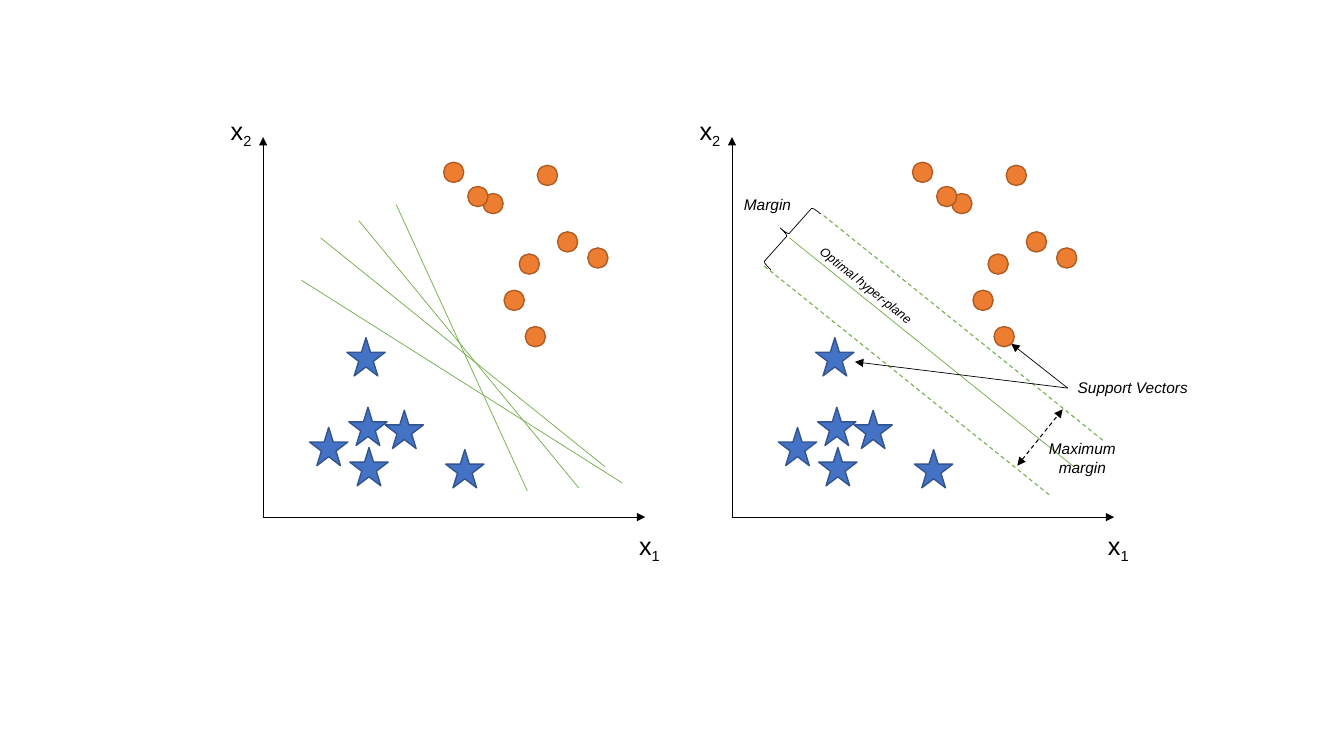
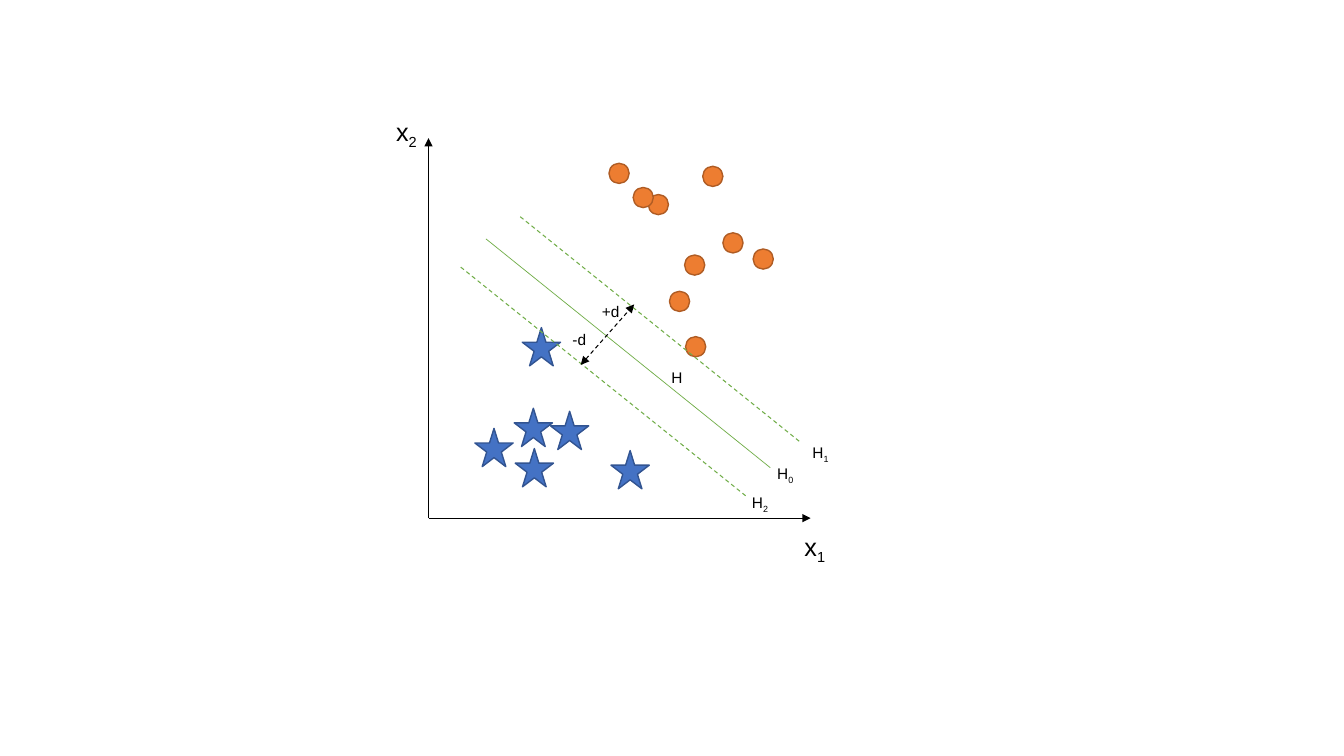
from pptx import Presentation
from pptx.dml.color import RGBColor
from pptx.enum.dml import MSO_LINE
from pptx.enum.shapes import MSO_CONNECTOR, MSO_SHAPE
from pptx.enum.text import MSO_AUTO_SIZE, PP_ALIGN
from pptx.oxml.ns import qn
from pptx.util import Inches, Pt
from lxml import etree

BLACK = RGBColor(0x00, 0x00, 0x00)
GREEN = RGBColor(0x70, 0xAD, 0x47)
ORANGE = RGBColor(0xED, 0x7D, 0x31)
DARK_ORANGE = RGBColor(0xAF, 0x5C, 0x24)
BLUE = RGBColor(0x44, 0x72, 0xC4)
DARK_BLUE = RGBColor(0x32, 0x54, 0x91)

# All places inside a plot are offsets in inches from the top of its x2 axis
AXIS_WIDTH, AXIS_HEIGHT = 3.79, 3.77
CIRCLES = [(2.18, 0.56), (2.54, 1.16), (2.39, 1.52), (2.72, 0.28), (3.22, 1.1),
           (1.79, 0.25), (2.03, 0.49), (2.92, 0.94)]
STARS = [(0.46, 2.88), (0.86, 3.08), (1.21, 2.71), (1.81, 3.1), (0.85, 2.68)]
HYPERPLANE = (0.57, 1, 3.39, 3.27)
MARGIN_EDGES = [(0.91, 0.78, 3.68, 3.01), (0.32, 1.28, 3.16, 3.56)]
OTHER_SEPARATORS = [(0.95, 0.83, 3.13, 3.48), (0.38, 1.42, 3.56, 3.43),
                    (1.32, 0.67, 2.62, 3.51)]


def add_line(plot, ends, color=BLACK, width=0.5, dashed=False, arrows=()):
    slide, left, top = plot
    x1, y1, x2, y2 = ends
    line = slide.shapes.add_connector(
        MSO_CONNECTOR.STRAIGHT, Inches(left + x1), Inches(top + y1),
        Inches(left + x2), Inches(top + y2))
    line.line.color.rgb = color
    line.line.width = Pt(width)
    if dashed:
        line.line.dash_style = MSO_LINE.DASH
    outline = line.get_or_add_ln()
    for arrow in arrows:
        etree.SubElement(outline, qn(f"a:{arrow}"), type="triangle")
    etree.SubElement(outline.getparent(), qn("a:effectLst"))


def add_label(plot, place, text, subscript="", size=11, italic=False, rotation=0):
    slide, left, top = plot
    x, y, width, height = place
    label = slide.shapes.add_textbox(
        Inches(left + x), Inches(top + y), Inches(width), Inches(height))
    label.rotation = rotation
    frame = label.text_frame
    frame.word_wrap = False
    frame.auto_size = MSO_AUTO_SIZE.SHAPE_TO_FIT_TEXT
    frame.text = text
    if subscript:
        lowered = frame.paragraphs[0].add_run()
        lowered.text = subscript
        lowered.font._element.set("baseline", "-25000")
    for paragraph in frame.paragraphs:
        if len(frame.paragraphs) > 1:
            paragraph.alignment = PP_ALIGN.CENTER
        for run in paragraph.runs:
            run.font.name = "Arial"
            run.font.size = Pt(size)
            run.font.italic = italic
            run.font.color.rgb = BLACK


prs = Presentation()
prs.slide_width, prs.slide_height = Inches(13.33), Inches(7.5)
comparison = prs.slides.add_slide(prs.slide_layouts[6])
distances = prs.slides.add_slide(prs.slide_layouts[6])

candidates_plot = (comparison, 2.61, 1.36)
optimal_plot = (comparison, 7.26, 1.36)
distance_plot = (distances, 4.25, 1.37)

# Axes, both classes and the hyperplane of every plot
for plot, support_circle, support_star in [
        (candidates_plot, (2.6, 1.88), (0.83, 1.99)),
        (optimal_plot, (2.6, 1.88), (0.83, 1.99)),
        (distance_plot, (2.55, 1.97), (0.93, 1.88))]:
    slide, left, top = plot
    add_line(plot, (0, AXIS_HEIGHT, 0, 0), arrows=["tailEnd"])
    add_line(plot, (0, AXIS_HEIGHT, AXIS_WIDTH, AXIS_HEIGHT), arrows=["tailEnd"])
    add_label(plot, (3.63, 3.85, 0.42, 0.4), "x", "1", size=18)
    add_label(plot, (-0.42, -0.27, 0.42, 0.4), "x", "2", size=18)

    for preset, size, fill, edge, points in [
            (MSO_SHAPE.OVAL, 0.2, ORANGE, DARK_ORANGE, [support_circle] + CIRCLES),
            (MSO_SHAPE.STAR_5_POINT, 0.38, BLUE, DARK_BLUE, [support_star] + STARS)]:
        for x, y in points:
            sample = slide.shapes.add_shape(
                preset, Inches(left + x), Inches(top + y), Inches(size), Inches(size))
            sample.shadow.inherit = False
            sample.fill.solid()
            sample.fill.fore_color.rgb = fill
            sample.line.color.rgb = edge
            sample.line.width = Pt(1)

    add_line(plot, HYPERPLANE, GREEN)

# Other possible separating lines
for separator in OTHER_SEPARATORS:
    add_line(candidates_plot, separator, GREEN)

# Edges of the margin and the double arrow across it
for plot, across in [(optimal_plot, (2.83, 3.26, 3.28, 2.7)),
                     (distance_plot, (1.51, 2.25, 2.04, 1.65))]:
    for edge in MARGIN_EDGES:
        add_line(plot, edge, GREEN, 0.75, dashed=True)
    add_line(plot, across, width=0.75, dashed=True, arrows=["headEnd", "tailEnd"])

# Brace over the margin
slide, left, top = optimal_plot
brace = slide.shapes.add_shape(
    MSO_SHAPE.RIGHT_BRACE, Inches(left + 0.45), Inches(top + 0.6),
    Inches(0.21), Inches(0.74))
brace.rotation = 221.7
brace.shadow.inherit = False
brace.fill.background()
brace.line.color.rgb = BLACK
brace.line.width = Pt(0.5)

# Names in the optimal plot
add_label(optimal_plot, (0.67, 1.35, 1.34, 0.25), "Optimal hyper-plane",
          size=9, italic=True, rotation=38.7)
for place, text in [((0.02, 0.53, 0.67, 0.29), "Margin"),
                    ((3.02, 2.95, 0.91, 0.47), "Maximum\nmargin"),
                    ((3.33, 2.34, 1.31, 0.29), "Support Vectors")]:
    add_label(optimal_plot, place, text, italic=True)
for target in [(1.22, 2.23), (2.77, 2.05)]:
    add_line(optimal_plot, (3.33, 2.49, *target), arrows=["tailEnd"])

# Names in the distance plot
for place, text, subscript in [
        ((3.71, 2.98, 0.37, 0.29), "H", "1"),
        ((3.11, 3.47, 0.37, 0.29), "H", "2"),
        ((3.36, 3.19, 0.37, 0.29), "H", "0"),
        ((2.31, 2.23, 0.31, 0.29), "H", ""),
        ((1.62, 1.58, 0.38, 0.29), "+d", ""),
        ((1.33, 1.86, 0.34, 0.29), "-d", "")]:
    add_label(distance_plot, place, text, subscript)

prs.save("out.pptx")
